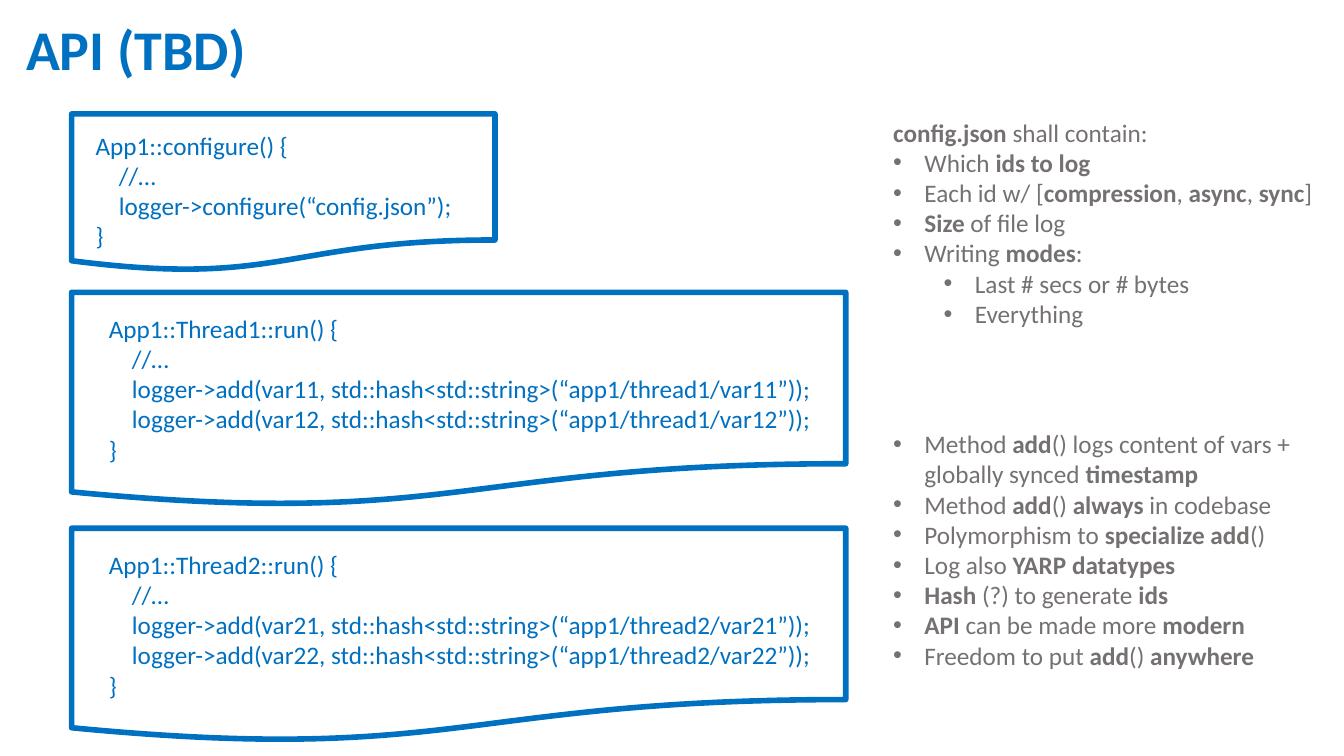
"""Build the logger API slide: three code sheets beside two bulleted notes."""
from dataclasses import dataclass

from lxml import etree
from pptx import Presentation
from pptx import util as u
from pptx.dml.color import RGBColor
from pptx.enum import shapes, text
from pptx.oxml.ns import qn

WIDE, HIGH = 13.33, 7.5
HUES = {"blue": "0070C0", "gray": "767171"}
CODE = {"size": u.Pt(18), "name": "Calibri"}
HEAD = {"size": u.Pt(40), "name": "Calibri"}


@dataclass
class Box:
    """A frame in percent of the slide's width and height."""
    left: float
    top: float
    wide: float
    high: float

    def place(self) -> list[int]:
        """Return the frame as slide lengths."""
        return [u.Inches(share * full / 100) for share, full in (
            (self.left, WIDE), (self.top, HIGH), (self.wide, WIDE), (self.high, HIGH))]


@dataclass
class Line:
    """A paragraph with **bold** parts, a left indent and perhaps a bullet."""
    words: str
    indent: float = 0
    bullet: bool = False
    level: int = 0


@dataclass
class Label:
    """A block of text lines in one colour and format."""
    box: Box
    lines: list[Line]
    hue: str
    font: dict
    wrap: bool = False


@dataclass
class Sheet:
    """A document outline with its code."""
    box: Box
    label: Label


def code(title: str, calls: list[str]) -> list[Line]:
    """Return the lines of a function body."""
    body = [Line(call, 0.23) for call in ["//…", *calls]]
    return [Line(title + " {"), *body, Line("}")]


def item(words: str, level: int = 0) -> Line:
    """Return a bulleted line."""
    return Line(words, 0.31 + level / 2, True, level)


def thread(num: int, top: float) -> Sheet:
    """Return the sheet of one logging thread."""
    calls = [f"logger->add(var{num}{k}, std::hash<std::string>(“app1/thread{num}/var{num}{k}”));"
             for k in (1, 2)]
    lines = code(f"App1::Thread{num}::run()", calls)
    label = Label(Box(7.36, top + 2.07, 54.54, 21.6), lines, "blue", CODE, True)
    return Sheet(Box(5.33, top, 57.6, 28.27), label)


def write(para, line: Line, label: Label) -> None:
    """Fill one paragraph with its runs and bullet."""
    para.level = line.level
    props = para._p.get_or_add_pPr()
    if line.indent:
        props.set("marL", str(u.Inches(line.indent)))
        props.set("indent", str(u.Inches(-0.31 if line.bullet else 0)))
    if line.bullet:
        etree.SubElement(props, qn("a:buFont")).set("typeface", "Arial")
        etree.SubElement(props, qn("a:buChar")).set("char", "•")
    for part, words in enumerate(line.words.split("**")):
        for row, piece in enumerate(words.split("\n")):
            if row:
                para.add_line_break()
            if piece:
                run = para.add_run()
                run.text = piece
                for key, value in {**label.font, "bold": part % 2 == 1}.items():
                    setattr(run.font, key, value)
                run.font.color.rgb = RGBColor.from_string(HUES[label.hue])


def add_label(tree, label: Label) -> None:
    """Add a text box."""
    frame = tree.add_textbox(*label.box.place()).text_frame
    form = {"word_wrap": label.wrap, "auto_size": text.MSO_AUTO_SIZE.SHAPE_TO_FIT_TEXT,
            "vertical_anchor": text.MSO_ANCHOR.TOP}
    for key, value in form.items():
        setattr(frame, key, value)
    for num, line in enumerate(label.lines):
        write(frame.add_paragraph() if num else frame.paragraphs[0], line, label)


def add_sheet(tree, sheet: Sheet) -> None:
    """Add a group of a document outline and its code."""
    group = tree.add_group_shape().shapes
    page = group.add_shape(shapes.MSO_SHAPE.FLOWCHART_DOCUMENT, *sheet.box.place())
    page.shadow.inherit = False
    page.fill.background()
    page.line.color.rgb = RGBColor.from_string(HUES["blue"])
    page.line.width = u.Pt(4)
    add_label(group, sheet.label)


SETUP = Sheet(Box(5.33, 15.07, 31.5, 20.8), Label(
    Box(6.38, 16.53, 29.86, 12.93),
    code("App1::configure()", ["logger->configure(“config.json”);"]), "blue", CODE, True))
USAGE = Label(Box(65.72, 56, 31.36, 33.6), [
    item("Method **add**() logs content of vars +\nglobally synced **timestamp**"),
    item("Method **add**() **always** in codebase"),
    item("Polymorphism to **specialize add**()"),
    item("Log also **YARP datatypes**"),
    item("**Hash** (?) to generate **ids**"),
    item("**API** can be made more **modern**"),
    item("Freedom to put **add**() **anywhere**"),
], "gray", CODE)
CONFIG = Label(Box(65.72, 14.8, 33.01, 29.6), [
    Line("**config.json** shall contain:"),
    item("Which **ids to log**"),
    item("Each id w/ [**compression**, **async**, **sync**]"),
    item("**Size** of file log"),
    item("Writing **modes**:"),
    item("Last # secs or # bytes", 1),
    item("Everything", 1),
], "gray", CODE)
TITLE = Label(Box(1.2, 1.2, 18.08, 10.27), [Line("**API (TBD)**")], "blue", HEAD)


def main() -> None:
    """Draw the slide and save it."""
    deck = Presentation()
    deck.slide_width, deck.slide_height = u.Inches(WIDE), u.Inches(HIGH)
    tree = deck.slides.add_slide(deck.slide_layouts[6]).shapes
    for part in (thread(1, 38.67), thread(2, 69.87), USAGE, SETUP, CONFIG, TITLE):
        if isinstance(part, Sheet):
            add_sheet(tree, part)
        else:
            add_label(tree, part)
    deck.save("out.pptx")


if __name__ == "__main__":
    main()
